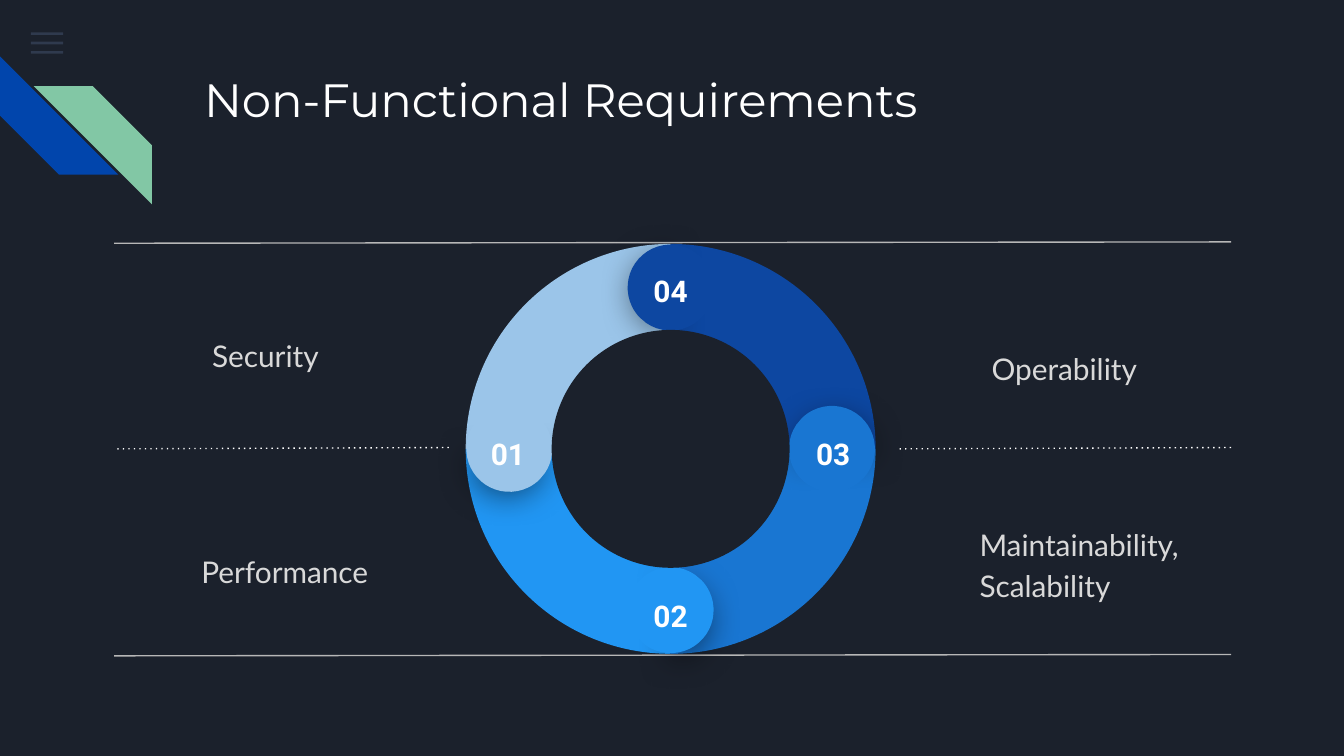
from math import cos, sin, radians
from lxml import etree
from pptx import Presentation, util as u
from pptx.dml.color import RGBColor
from pptx.enum import shapes, text
from pptx.oxml import parse_xml
from pptx.oxml.ns import nsdecls, qn

BACK, GREY, WHITE = "1B212C", "D9D9D9", "FFFFFF"
TITLE = "Non-Functional Requirements"
LABELS = [
    ("Security", 1.48, 2.45, 1.05, 0.35),
    ("Performance", 1.4, 3.99, 1.51, 0.49),
    ("Operability", 7.28, 2.48, 1.39, 0.49),
    ("Maintainability, Scalability", 7.19, 3.9, 1.83, 0.57),
]
STEPS = [("01", "9BC5E9"), ("02", "2196F3"), ("03", "1976D2"), ("04", "0D47A1")]
LEFT, RIGHT, SIDE = 0.85, 9.16, 2.49
RULES = [
    (LEFT, RIGHT, 1.8, "B7B7B7", False),
    (LEFT, LEFT + SIDE, 3.33, WHITE, True),
    (RIGHT - SIDE, RIGHT, 3.33, WHITE, True),
    (LEFT, RIGHT, 4.87, "B7B7B7", False),
]
MID_X, MID_Y = 4.99, 3.34
RING, HOLE, CAP, EDGE = 3.05, 1.77, 0.64, 0.57

deck = Presentation()
deck.slide_width = u.Inches(10)
deck.slide_height = deck.slide_width * 9 // 16
slide = deck.slides.add_slide(deck.slide_layouts[6])
KIND = shapes.MSO_SHAPE


def hue(code):
    return RGBColor.from_string(code)


def draw(kind, x, y, w, h, code, turn=0, adj=()):
    item = slide.shapes.add_shape(kind, *map(u.Inches, (x, y, w, h)))
    item.shadow.inherit = False
    item.fill.solid()
    item.fill.fore_color.rgb = hue(code)
    item.line.fill.background()
    item.rotation = turn
    for i, val in enumerate(adj):
        item.adjustments[i] = val
    return item


def disc(kind, x, y, size, code, turn=0, adj=()):
    return draw(kind, x - size / 2, y - size / 2, size, size, code, turn, adj)


def write(words, x, y, w, h, size, font, code, bold=False):
    frame = slide.shapes.add_textbox(*map(u.Inches, (x, y, w, h))).text_frame
    frame.word_wrap = True
    frame.margin_left = frame.margin_right = u.Inches(0.1)
    frame.margin_top = frame.margin_bottom = u.Inches(0.1)
    para = frame.paragraphs[0]
    run = para.add_run()
    run.text = words
    run.font.size, run.font.name, run.font.bold = u.Pt(size), font, bold
    run.font.color.rgb = hue(code)
    return frame, para


def shade(item):
    props = item._element.spPr
    props.remove(props.find(qn("a:effectLst")))
    props.append(parse_xml(
        f'<a:effectLst {nsdecls("a")}><a:outerShdw blurRad="{u.Pt(18)}" '
        f'dist="{u.Pt(4)}" dir="5400000" algn="bl" rotWithShape="0">'
        '<a:srgbClr val="000000"><a:alpha val="55000"/></a:srgbClr>'
        '</a:outerShdw></a:effectLst>'))


def orbit(step, far):
    angle = radians(180 - 90 * step)
    return MID_X + far * cos(angle), MID_Y + far * sin(angle)


slide.background.fill.solid()
slide.background.fill.fore_color.rgb = hue(BACK)

for row in range(3):
    bar = draw(KIND.RECTANGLE, 0.23, 0.24 + 0.07 * row, 0.24, 0.02, "55688B")
    tint = bar._element.spPr.find(qn("a:solidFill"))[0]
    etree.SubElement(tint, qn("a:alpha")).set("val", "36000")

draw(KIND.DIAGONAL_STRIPE, 0, 0.42, 0.88, 0.88, "0145AC", 270, [0.5])
leaf = draw(KIND.DIAGONAL_STRIPE, 0.25, 0.64, 0.88, 0.88, "82C7A5", 0, [0.5])
leaf._element.spPr.xfrm.set("flipH", "1")

write(TITLE, 1.42, 0.43, 7.7, 1, 25, "Montserrat", WHITE)
for words, *area in LABELS:
    frame, para = write(words, *area, 16, "Lato", GREY)
    frame.vertical_anchor = text.MSO_ANCHOR.MIDDLE
    para.line_spacing, para.space_after = 1.15, u.Pt(16)

for start, end, y, code, dots in RULES:
    rule = slide.shapes.add_connector(
        shapes.MSO_CONNECTOR.STRAIGHT, *map(u.Inches, (end, y, start, y + 0.01)))
    rule.line.color.rgb = hue(code)
    rule.line.width = u.Pt(0.75)
    if dots:
        stroke = rule._element.spPr.find(qn("a:ln"))
        etree.SubElement(stroke, qn("a:prstDash")).set("val", "dot")
    etree.SubElement(rule._element.spPr, qn("a:effectLst"))

for step, (num, code) in enumerate(STEPS):
    disc(KIND.PIE, MID_X, MID_Y, RING, code, -90 * step % 360, [108, 162])

for step, (num, code) in enumerate(STEPS):
    turn = -90 * step
    shade(disc(KIND.PIE, *orbit(step, 1.22), EDGE, code,
               (39.5 + turn) % 360, [189.54, 83.81]))
    disc(KIND.CHORD, *orbit(step, 1.2), CAP, code,
         (4.1 + turn) % 360, [25, 18.12])
    x, y = orbit(step, 1.21)
    frame, para = write(num, x - 0.28, y - 0.2, 0.56, 0.29, 16, "Roboto", WHITE, True)
    para.alignment = text.PP_ALIGN.CENTER

disc(KIND.OVAL, MID_X, MID_Y, HOLE, BACK)

deck.save("out.pptx")
